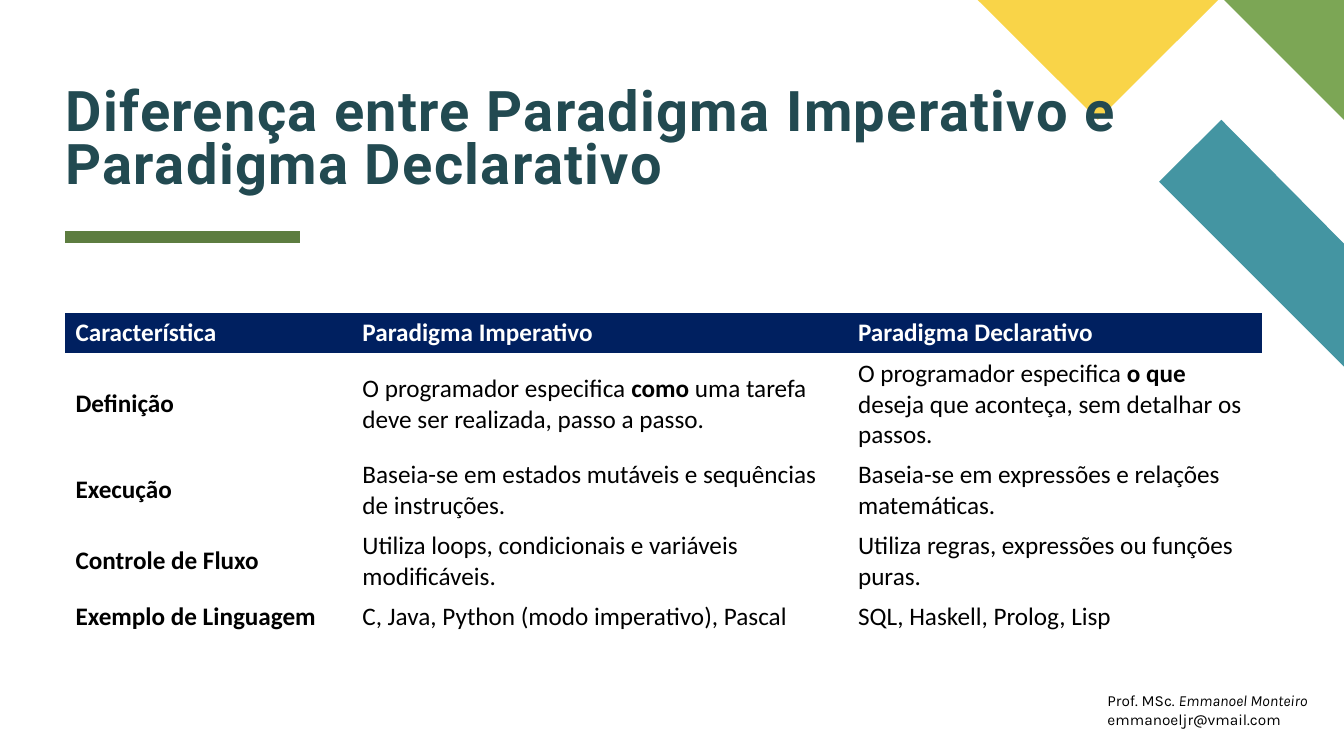
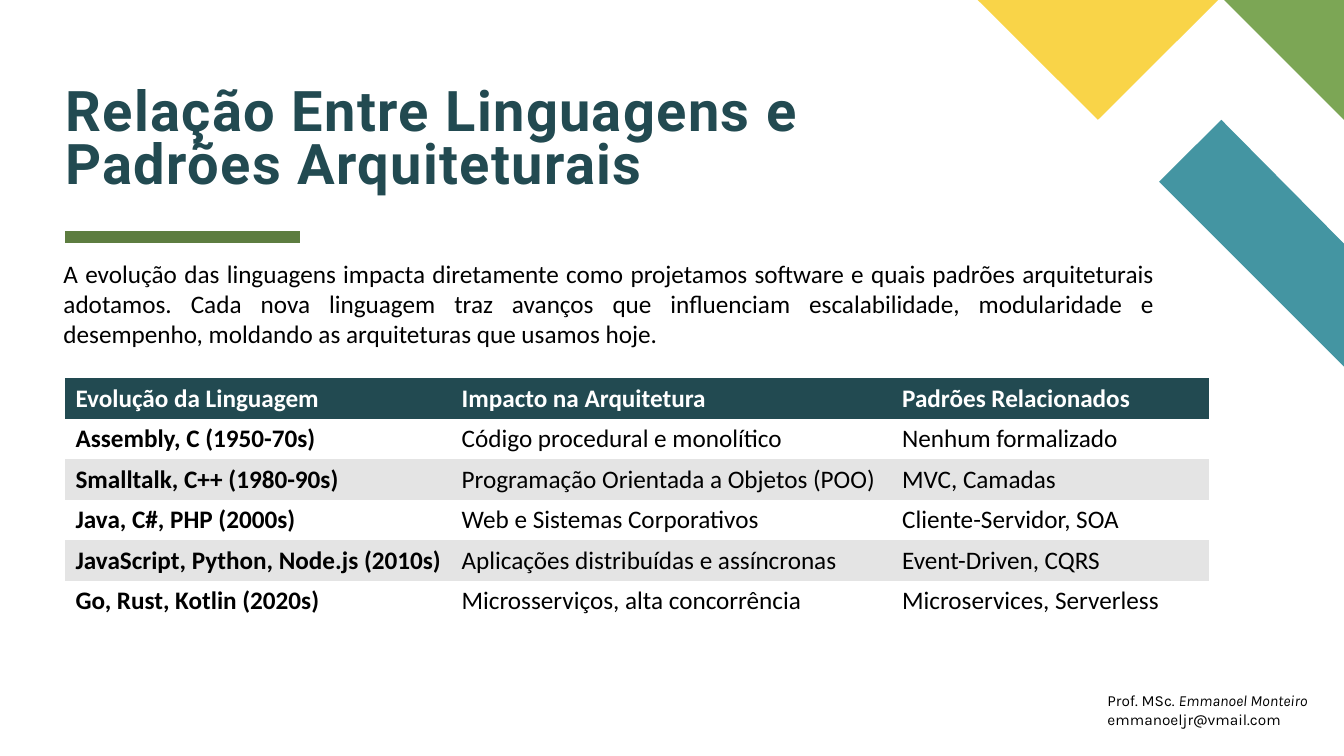
from dataclasses import dataclass
from lxml.etree import SubElement as Sub
from pptx import Presentation as Deck
from pptx.dml.color import RGBColor as Rgb
from pptx.enum.shapes import MSO_CONNECTOR as Conn
from pptx.enum.text import MSO_ANCHOR as Anchor, MSO_AUTO_SIZE as Auto, PP_ALIGN as Align
from pptx.oxml.ns import qn
from pptx.util import Cm, Pt


@dataclass(frozen=True)
class Theme:
    """Colours, fonts and sizes that the slides share."""
    ink: str = "000000"
    white: str = "FFFFFF"
    dark: str = "224A51"
    navy: str = "002060"
    grey: str = "E4E4E4"
    teal: str = "4495A2"
    green: str = "7CA655"
    gold: str = "F9D448"
    moss: str = "5D7D40"
    head: tuple = ("Roboto", 40)
    body: tuple = ("Calibri", 18)
    foot: tuple = ("Karla", 11)
    rule: float = 8
    plain: str = "{2D5ABB26-0587-4C30-8999-92F81FD0307C}"


LOOK = Theme()
WIDE, HIGH = 33.87, 19.05
LEFT = 1.65
LINE, PAD = 0.77, 0.25


def apply(item, form):
    """Set each attribute in a dict of format values."""
    for name, value in form.items():
        setattr(item, name, value)


def write(par, text, face, tint, mark="bold", **form):
    """Write runs into a paragraph; asterisks enclose marked words."""
    name, size = face
    for num, part in enumerate(text.split("*")):
        if part:
            run = par.add_run()
            run.text = part
            style = {"name": name, "size": Pt(size), **form}
            if num % 2:
                style[mark] = True
            apply(run.font, style)
            run.font.color.rgb = Rgb.from_string(tint)


def paint(fill, tint):
    """Fill with a colour, or clear the fill when there is none."""
    if tint:
        fill.solid()
        fill.fore_color.rgb = Rgb.from_string(tint)
    else:
        fill.background()


def frame(slide, box, **form):
    """Add a text box and return its text frame."""
    area = slide.shapes.add_textbox(*map(Cm, box)).text_frame
    apply(area, {"word_wrap": True, **form})
    return area


def corner(slide, box):
    """Draw the three coloured shapes against the top right of the box."""
    left, top, width, _ = box
    shapes = (
        (LOOK.teal, ((0, 9.24), (0, 6.14), (-3.09, 3.02), (-4.66, 4.58))),
        (LOOK.green, ((0, 3.02), (0, 0), (-3.02, 0))),
        (LOOK.gold, ((-9.23, 0), (-3.17, 0), (-6.2, 3.02))),
    )
    for tint, spots in shapes:
        dots = [(Cm(left + width + x), Cm(top + y)) for x, y in spots]
        pen = slide.shapes.build_freeform(*dots[0])
        pen.add_line_segments(dots[1:])
        shape = pen.convert_to_shape()
        shape.shadow.inherit = False
        shape.line.fill.background()
        paint(shape.fill, tint)


def title(slide, box, text):
    """Write the heading and draw the rule below it."""
    left, top, _, height = box
    area = frame(slide, box, vertical_anchor=Anchor.BOTTOM, margin_left=0,
                 margin_right=0, margin_top=0, margin_bottom=0)
    par = area.paragraphs[0]
    par.line_spacing = 0.8
    write(par, text, LOOK.head, LOOK.dark, bold=True)
    for run in par.runs:
        run.font._element.set("spc", "100")
    y = Cm(top + height + 1.04)
    rule = slide.shapes.add_connector(Conn.STRAIGHT, Cm(left), y, Cm(left + 5.92), y)
    rule.line.width = Pt(LOOK.rule)
    rule.line.color.rgb = Rgb.from_string(LOOK.moss)
    Sub(rule.element.spPr, qn("a:effectLst"))


def footer(slide, box):
    """Write the teacher's name and address."""
    area = frame(slide, box, word_wrap=False, auto_size=Auto.SHAPE_TO_FIT_TEXT)
    par = area.paragraphs[0]
    write(par, "Prof. MSc. *Emmanoel Monteiro*", LOOK.foot, LOOK.ink, "italic")
    par.add_line_break()
    write(par, "emmanoeljr@vmail.com", LOOK.foot, LOOK.ink)


def intro(slide, box, text):
    """Write a justified paragraph."""
    par = frame(slide, box, auto_size=Auto.SHAPE_TO_FIT_TEXT).paragraphs[0]
    par.alignment = Align.JUSTIFY
    write(par, text, LOOK.body, LOOK.ink)


def grid(slide, spot, cols, lines, rows, top, band=None):
    """Build a table with a coloured head and optional grey bands."""
    highs = [PAD + LINE * count for count in lines]
    size = (*spot, sum(cols), sum(highs))
    shape = slide.shapes.add_table(len(rows), len(cols), *map(Cm, size))
    for tag in shape.element.iter(qn("a:tableStyleId")):
        tag.text = LOOK.plain
    table = shape.table
    table.horz_banding = False
    for col, width in zip(table.columns, cols):
        col.width = Cm(width)
    for row, (line, high) in enumerate(zip(rows, highs)):
        table.rows[row].height = Cm(high)
        tint = band if row % 2 == 0 else None
        for col, text in enumerate(line):
            cell = table.cell(row, col)
            cell.vertical_anchor = Anchor.MIDDLE
            paint(cell.fill, tint if row else top)
            write(cell.text_frame.paragraphs[0], text, LOOK.body,
                  LOOK.ink if row else LOOK.white, bold=row == 0 or col == 0)


def base(deck, text, width):
    """Add a slide with the parts that all slides share."""
    slide = deck.slides.add_slide(deck.slide_layouts[6])
    paint(slide.background.fill, LOOK.white)
    corner(slide, (0, 0, WIDE, HIGH))
    title(slide, (LEFT, 0.56, width, 4.37), text)
    footer(slide, (27.66, 17.3, 5.61, 1.19))
    return slide


def models(deck):
    """Compare the imperative and declarative paradigms."""
    slide = base(deck, "Diferença entre Paradigma Imperativo e Paradigma Declarativo", 30.48)
    rows = (
        ("Característica", "Paradigma Imperativo", "Paradigma Declarativo"),
        ("Definição",
         "O programador especifica *como* uma tarefa deve ser realizada, passo a passo.",
         "O programador especifica *o que* deseja que aconteça, sem detalhar os passos."),
        ("Execução",
         "Baseia-se em estados mutáveis e sequências de instruções.",
         "Baseia-se em expressões e relações matemáticas."),
        ("Controle de Fluxo",
         "Utiliza loops, condicionais e variáveis modificáveis.",
         "Utiliza regras, expressões ou funções puras."),
        ("Exemplo de Linguagem",
         "C, Java, Python (modo imperativo), Pascal",
         "SQL, Haskell, Prolog, Lisp"),
    )
    grid(slide, (LEFT, 7.88), (7.23, 12.49, 10.43), (1, 3, 2, 2, 1), rows, LOOK.navy)


def styles(deck):
    """Relate languages to architectural patterns."""
    slide = base(deck, "Relação Entre Linguagens e Padrões Arquiteturais", 22.83)
    intro(slide, (1.35, 6.38, 27.99, 2.57),
          "A evolução das linguagens impacta diretamente como projetamos software e quais "
          "padrões arquiteturais adotamos. Cada nova linguagem traz avanços que influenciam "
          "escalabilidade, modularidade e desempenho, moldando as arquiteturas que usamos hoje.")
    rows = (
        ("Evolução da Linguagem", "Impacto na Arquitetura", "Padrões Relacionados"),
        ("Assembly, C (1950-70s)", "Código procedural e monolítico", "Nenhum formalizado"),
        ("Smalltalk, C++ (1980-90s)", "Programação Orientada a Objetos (POO)", "MVC, Camadas"),
        ("Java, C#, PHP (2000s)", "Web e Sistemas Corporativos", "Cliente-Servidor, SOA"),
        ("JavaScript, Python, Node.js (2010s)", "Aplicações distribuídas e assíncronas",
         "Event-Driven, CQRS"),
        ("Go, Rust, Kotlin (2020s)", "Microsserviços, alta concorrência",
         "Microservices, Serverless"),
    )
    grid(slide, (LEFT, 9.53), (9.73, 11.1, 8), (1,) * 6, rows, LOOK.dark, LOOK.grey)


def main():
    """Build and save the slides."""
    deck = Deck()
    apply(deck, {"slide_width": Cm(WIDE), "slide_height": Cm(HIGH)})
    for build in (models, styles):
        build(deck)
    deck.save("out.pptx")


if __name__ == "__main__":
    main()
